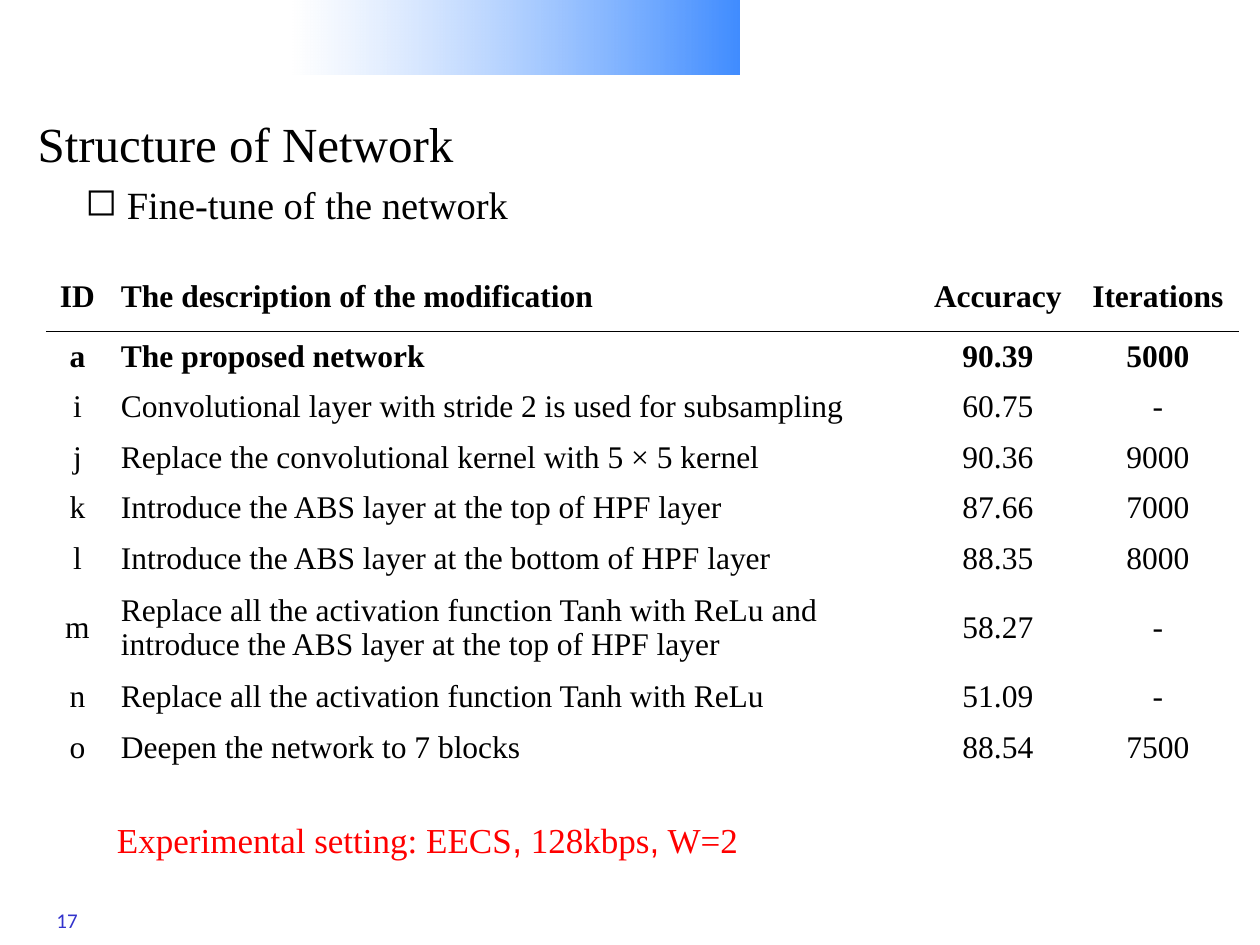
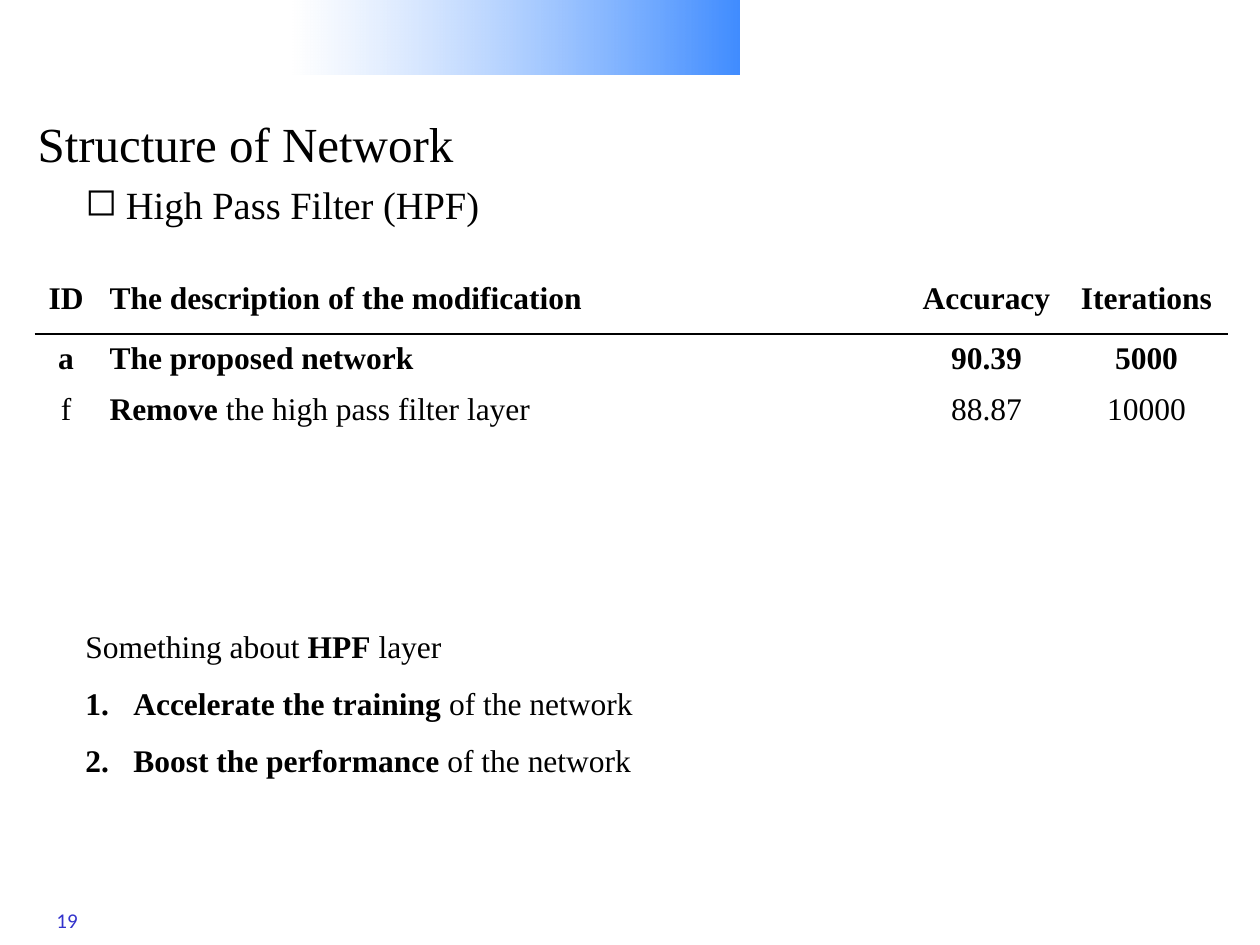
from lxml import etree
from pptx import Presentation
from pptx.dml.color import RGBColor
from pptx.enum.shapes import MSO_SHAPE
from pptx.enum.text import MSO_ANCHOR, PP_ALIGN
from pptx.oxml.ns import qn
from pptx.util import Inches, Pt

RECT = MSO_SHAPE.RECTANGLE
TOP, MIDDLE = MSO_ANCHOR.TOP, MSO_ANCHOR.MIDDLE
LEFT, CENTER = PP_ALIGN.LEFT, PP_ALIGN.CENTER

WHITE = RGBColor(0xFF, 0xFF, 0xFF)
BLACK = RGBColor(0, 0, 0)
RED = RGBColor(0xFF, 0, 0)
BLUE = RGBColor(0, 0x66, 0xFF)
INDIGO = RGBColor(0x33, 0x33, 0xCC)
SERIF, SANS, PLAIN = "Times New Roman", "Calibri", "Arial"

COLS, ROWS = 100, 75          # grid laid over the slide
WIDTHS = 4.9, 64.3, 12.6, 12.8
HEAD_ROW, BODY_ROW, TALL_ROW = 5.5, 4, 7
LONG = 60                     # letters that fit one table line

HEAD = ["ID", "The description of the modification", "Accuracy", "Iterations"]
BASE = ["a", "The proposed network", "90.39", "5000"]
TUNING = [
    ["i", "Convolutional layer with stride 2 is used for subsampling", "60.75", "-"],
    ["j", "Replace the convolutional kernel with 5 × 5 kernel", "90.36", "9000"],
    ["k", "Introduce the ABS layer at the top of HPF layer", "87.66", "7000"],
    ["l", "Introduce the ABS layer at the bottom of HPF layer", "88.35", "8000"],
    ["m", "Replace all the activation function Tanh with ReLu and "
          "introduce the ABS layer at the top of HPF layer", "58.27", "-"],
    ["n", "Replace all the activation function Tanh with ReLu", "51.09", "-"],
    ["o", "Deepen the network to 7 blocks", "88.54", "7500"],
]
FILTER = [["f", [("Remove", True), (" the high pass filter layer", False)],
           "88.87", "10000"]]


def node(parent, tag, **attrs):
    return etree.SubElement(parent, qn(tag), attrs)


class Deck:
    def __init__(self):
        self.prs = Presentation()
        self.prs.slide_width, self.prs.slide_height = Inches(10), Inches(7.5)
        self.slide = None

    def place(self, left, top, width, height):
        """Turn grid columns and rows into slide lengths."""
        col, row = self.prs.slide_width / COLS, self.prs.slide_height / ROWS
        return [int(n * unit) for n, unit in
                ((left, col), (top, row), (width, col), (height, row))]

    def page(self, number, topic):
        """Start a slide with the band, number, title and topic."""
        self.slide = self.prs.slides.add_slide(self.prs.slide_layouts[6])
        self.band()
        self.number(number)
        self.title("Structure of Network")
        self.topic(topic)

    def band(self):
        shape = self.slide.shapes.add_shape(RECT, *self.place(23.2, 0, 35.5, 5.9))
        shape.shadow.inherit = False
        shape.line.fill.background()
        shape.fill.gradient()
        shape.fill.gradient_angle = 0
        for stop, spot, color in zip(shape.fill.gradient_stops, (0, 1), (WHITE, BLUE)):
            stop.position = spot
            stop.color.rgb = color
        tints = shape._element.spPr.iter(qn("a:srgbClr"))
        for tint, alpha in zip(list(tints), ("48000", "75000")):
            node(tint, "a:alpha", val=alpha)

    def box(self, left, top, width, height, wrap=True):
        shape = self.slide.shapes.add_textbox(*self.place(left, top, width, height))
        frame = shape.text_frame
        frame.word_wrap, frame.vertical_anchor = wrap, TOP
        return frame

    def run(self, para, text, size, color=BLACK, font=SERIF, bold=False):
        run = para.add_run()
        run.text = text
        run.font.size, run.font.name = Pt(size), font
        run.font.bold, run.font.color.rgb = bold, color

    def bullet(self, para, indent, tag, **attrs):
        props = para._p.get_or_add_pPr()
        props.set("marL", str(Inches(indent)))
        props.set("indent", str(-Inches(indent)))
        node(props, tag, **attrs)

    def number(self, text):
        para = self.box(3.5, 71.5, 4.7, 3).paragraphs[0]
        self.run(para, text, 12, INDIGO, SANS)

    def title(self, text):
        para = self.box(2, 8.5, 98, 6.9).paragraphs[0]
        self.run(para, text, 28)

    def topic(self, runs):
        para = self.box(5.8, 13.9, 84.4, 4.7).paragraphs[0]
        self.bullet(para, 0.19, "a:buChar", char="◻")
        for text, font in runs:
            self.run(para, text, 22, font=font)

    def note(self, runs):
        para = self.box(8.3, 64.5, 51.4, 4.4, wrap=False).paragraphs[0]
        for text, font in runs:
            self.run(para, text, 20, RED, font)

    def points(self, lead, items):
        """A lead line followed by a numbered list."""
        frame = self.box(5.8, 49.3, 74.2, 12.6)
        for spot, runs in enumerate([lead] + items):
            para = frame.add_paragraph() if spot else frame.paragraphs[0]
            if spot:
                para.line_spacing = 1.5
                self.bullet(para, 0.38, "a:buAutoNum", type="arabicPeriod")
            for text, bold in runs:
                self.run(para, text, 18, bold=bold)

    def edges(self, cell, row):
        """White borders, with a black rule under the header."""
        props = cell._tc.get_or_add_tcPr()
        for side in "LRTB":
            ruled = (row, side) in ((0, "B"), (1, "T"))
            line = node(props, "a:ln" + side, w=str(Pt(1)))
            fill = node(line, "a:solidFill")
            node(fill, "a:srgbClr", val=str(BLACK if ruled else WHITE))

    def table(self, left, top, body):
        data = [HEAD, BASE] + body
        tall = [HEAD_ROW] + [TALL_ROW if len(line[1]) > LONG else BODY_ROW
                             for line in data[1:]]
        area = self.place(left, top, sum(WIDTHS), sum(tall))
        grid = self.slide.shapes.add_table(len(data), len(HEAD), *area).table
        grid.first_row = grid.horz_banding = False
        for col, width in zip(grid.columns, WIDTHS):
            col.width = self.place(0, 0, width, 0)[2]
        for row, line in enumerate(data):
            grid.rows[row].height = self.place(0, 0, 0, tall[row])[3]
            for col, value in enumerate(line):
                cell = grid.cell(row, col)
                self.edges(cell, row)
                cell.fill.background()
                cell.vertical_anchor = MIDDLE
                para = cell.text_frame.paragraphs[0]
                para.alignment = LEFT if col == 1 else CENTER
                runs = [(value, row < 2)] if isinstance(value, str) else value
                for text, bold in runs:
                    self.run(para, text, 18, bold=bold)


def main():
    deck = Deck()

    # Fine-tuning results
    deck.page("17", [(" Fine-tune of the network", SERIF)])
    deck.table(3.7, 20.8, TUNING)
    deck.note([("Experimental setting: EECS", SERIF), (",", PLAIN),
               (" 128kbps", SERIF), (",", PLAIN), (" W=2", SERIF)])

    # High pass filter results
    deck.page("19", [(" ", SANS), ("High Pass Filter (HPF)", SERIF)])
    deck.table(2.8, 21, FILTER)
    deck.points([("Something about", False), (" HPF", True), (" layer", False)],
                [[("Accelerate the training", True), (" of the network", False)],
                 [("Boost the performance ", True), ("of the network", False)]])

    deck.prs.save("out.pptx")


if __name__ == "__main__":
    main()
